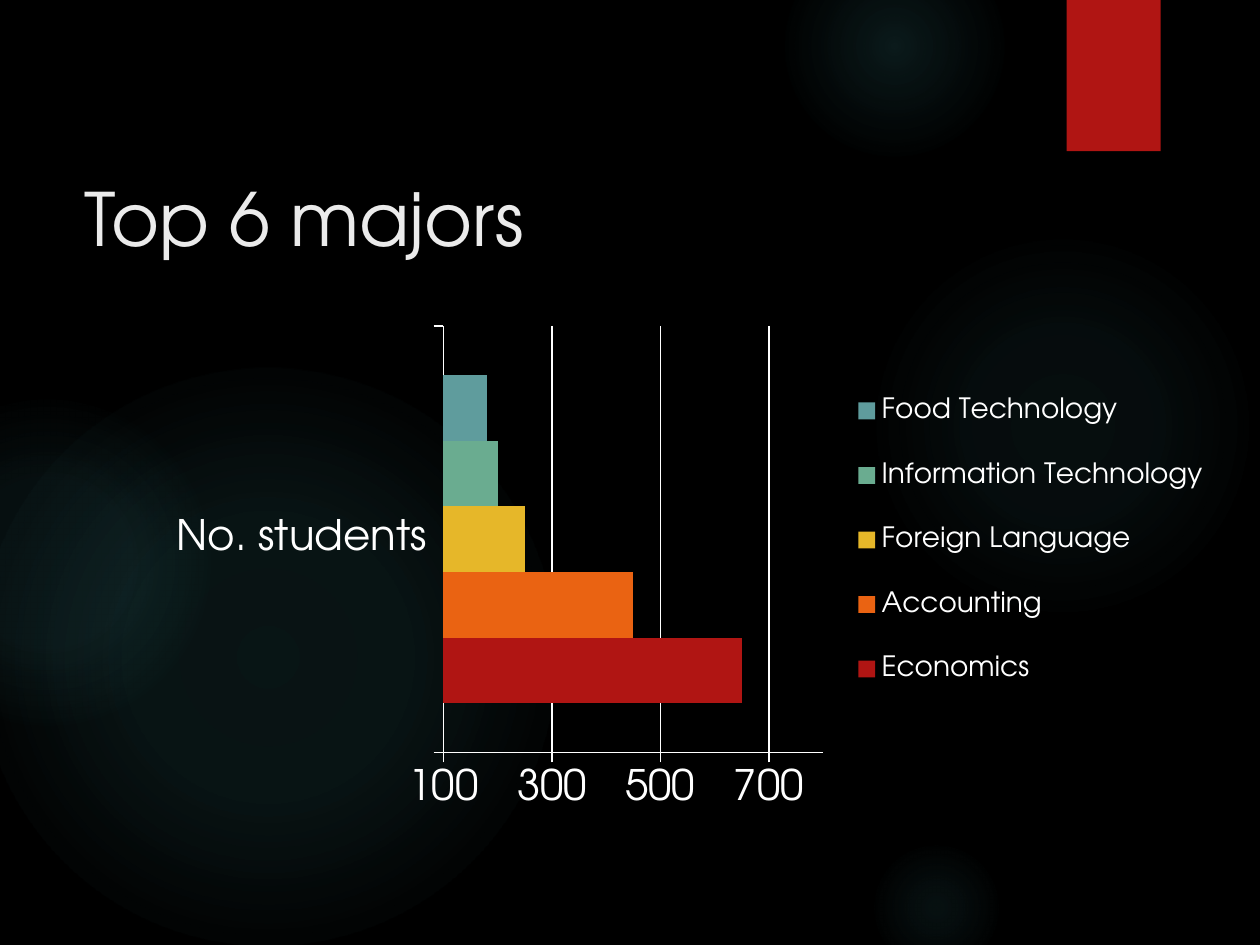
from lxml.etree import SubElement
from pptx import Presentation
from pptx.chart.data import CategoryChartData
from pptx.dml.color import RGBColor
from pptx.enum.chart import XL_CHART_TYPE, XL_LEGEND_POSITION, XL_TICK_MARK
from pptx.enum.shapes import MSO_SHAPE
from pptx.enum.text import MSO_ANCHOR, PP_ALIGN
from pptx.oxml import parse_xml
from pptx.oxml.ns import nsdecls, qn
from pptx.util import Inches, Pt

FONT = "TeX Gyre Adventor"
BLACK = RGBColor(0x00, 0x00, 0x00)
WHITE = RGBColor(0xFF, 0xFF, 0xFF)
PALE = RGBColor(0xEB, 0xEB, 0xEB)
TEAL = RGBColor(0x50, 0xB9, 0xC1)
RED = RGBColor(0xB0, 0x15, 0x13)
ORANGE = RGBColor(0xEA, 0x63, 0x12)
GOLD = RGBColor(0xE6, 0xB7, 0x29)
GREEN = RGBColor(0x6A, 0xAC, 0x90)
BLUE = RGBColor(0x5F, 0x9C, 0x9D)

WIDE = 7.5
HIGH = WIDE * 3 / 4
GLOWS = [
    (5.17, 1.38, 2.31, [(0, 7), (36, 6), (69, 0)]),
    (4.67, -0.38, 1.31, [(0, 14), (36, 7), (73, 0)]),
    (5.17, 5, 0.81, [(0, 9), (36, 5), (66, 0)]),
    (-0.13, 2.19, 3.44, [(0, 11), (36, 10), (75, 0)]),
    (-0.69, 2.38, 1.94, [(0, 8), (36, 8), (72, 0)]),
]
MAJORS = [
    ("Economics", 650, RED),
    ("Accounting", 450, ORANGE),
    ("Foreign Language", 250, GOLD),
    ("Information Technology", 200, GREEN),
    ("Food Technology", 180, BLUE),
]


class Deck:
    def __init__(self, wide, high):
        self.show = Presentation()
        self.show.slide_width = Inches(wide)
        self.show.slide_height = Inches(high)
        self.slide = self.show.slides.add_slide(self.show.slide_layouts[5])
        fill = self.slide.background.fill
        fill.solid()
        fill.fore_color.rgb = BLACK

    def block(self, kind, box, color):
        shape = self.slide.shapes.add_shape(kind, *map(Inches, box))
        shape.shadow.inherit = False
        shape.line.fill.background()
        shape.fill.solid()
        shape.fill.fore_color.rgb = color
        return shape

    def glow(self, left, top, size, stops):
        shape = self.block(MSO_SHAPE.OVAL, (left, top, size, size), TEAL)
        marks = "".join(
            f'<a:gs pos="{pos * 1000}"><a:srgbClr val="{TEAL}">'
            f'<a:alpha val="{alpha * 1000}"/></a:srgbClr></a:gs>'
            for pos, alpha in stops
        )
        grad = parse_xml(
            f'<a:gradFill {nsdecls("a")}><a:gsLst>{marks}</a:gsLst>'
            '<a:path path="circle"><a:fillToRect l="50000" t="50000" '
            'r="50000" b="50000"/></a:path></a:gradFill>'
        )
        props = shape._element.spPr
        props.replace(props.find(qn("a:solidFill")), grad)

    def title(self, text, box):
        head = self.slide.shapes.title
        head.left, head.top, head.width, head.height = map(Inches, box)
        frame = head.text_frame
        frame.text = text
        frame.word_wrap = True
        frame.vertical_anchor = MSO_ANCHOR.MIDDLE
        para = frame.paragraphs[0]
        para.alignment = PP_ALIGN.LEFT
        self.style(para.font, 31.5, PALE)

    def style(self, font, size, color):
        font.name = FONT
        font.size = Pt(size)
        font.color.rgb = color

    def place(self, part, box, size, inner=False):
        for old in part.findall(qn("c:layout")):
            part.remove(old)
        layout = parse_xml(f'<c:layout {nsdecls("c")}/>')
        manual = SubElement(layout, qn("c:manualLayout"))
        shares = [length / whole for length, whole in zip(box, size * 2)]
        pairs = [("layoutTarget", "inner")] if inner else []
        pairs += [("xMode", "edge"), ("yMode", "edge"), *zip("xywh", shares)]
        for name, value in pairs:
            SubElement(manual, qn(f"c:{name}")).set("val", str(value))
        spot = part.find(qn("c:legendPos"))
        if spot is None:
            part.insert(0, layout)
        else:
            spot.addnext(layout)

    def line(self, form, width):
        form.line.color.rgb = WHITE
        form.line.width = Pt(width)

    def bars(self, label, rows, box):
        data = CategoryChartData(number_format="0")
        data.categories = [label]
        for name, value, _ in rows:
            data.add_series(name, [value])
        chart = self.slide.shapes.add_chart(
            XL_CHART_TYPE.BAR_CLUSTERED, *map(Inches, box), data
        ).chart
        self.style(chart.font, 18, WHITE)
        chart.has_title = False
        plot = chart.plots[0]
        plot.gap_width = 150
        plot.overlap = 0
        plot.vary_by_categories = False
        for series, (_, _, color) in zip(plot.series, rows):
            series.format.fill.solid()
            series.format.fill.fore_color.rgb = color
        cat, val = chart.category_axis, chart.value_axis
        for axis in (cat, val):
            axis.major_tick_mark = XL_TICK_MARK.OUTSIDE
            axis.minor_tick_mark = XL_TICK_MARK.NONE
            self.line(axis.format, 0.75)
        val.minimum_scale, val.maximum_scale = 100, 800
        val.major_unit = 200
        val.has_major_gridlines = True
        self.line(val.major_gridlines.format, 0.75)
        val.tick_labels.number_format = "0"
        val.tick_labels.number_format_is_linked = False
        chart.has_legend = True
        legend = chart.legend
        legend.position = XL_LEGEND_POSITION.RIGHT
        legend.include_in_layout = False
        self.style(legend.font, 12, WHITE)
        area = chart._chartSpace.chart.plotArea
        size = box[2:]
        self.place(area, (1.71, 0.06, 2.26, 2.54), size, True)
        self.place(legend._element, (4.13, 0.26, 2.15, 2.15), size)


def main():
    deck = Deck(WIDE, HIGH)
    for glow in GLOWS:
        deck.glow(*glow)
    deck.block(MSO_SHAPE.RECTANGLE, (6.35, 0, 0.56, 0.9), RED)
    deck.title("Top 6 majors", (0.4, 0.96, 5.67, 0.66))
    deck.bars("No. students", MAJORS, (0.93, 1.88, 6.34, 3))
    deck.show.save("out.pptx")


if __name__ == "__main__":
    main()
